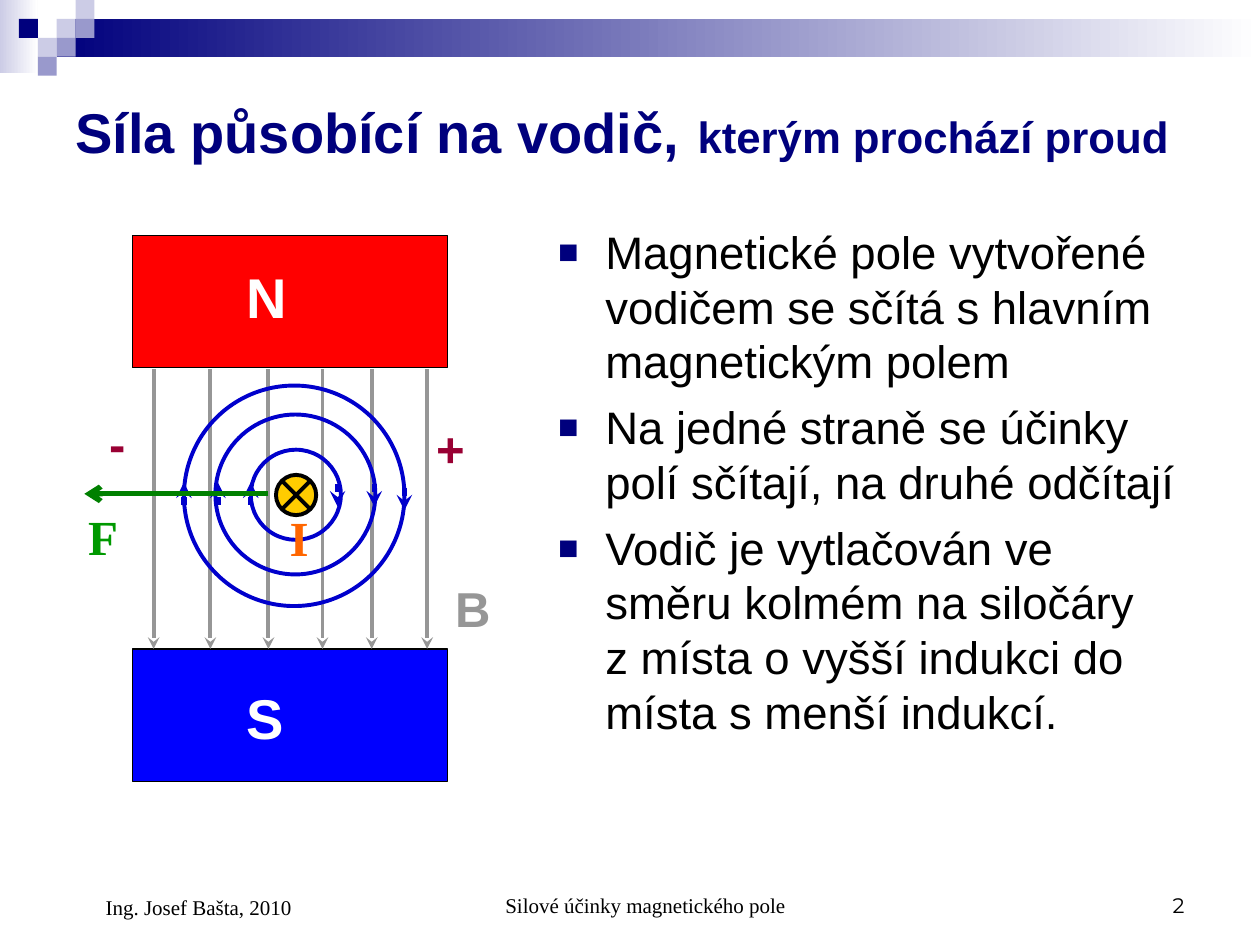
from lxml import etree
from pptx import Presentation
from pptx.dml.color import RGBColor
from pptx.enum.shapes import MSO_CONNECTOR, MSO_SHAPE
from pptx.enum.text import MSO_ANCHOR, PP_ALIGN
from pptx.oxml.ns import qn
from pptx.util import Pt

RECT, OVAL = MSO_SHAPE.RECTANGLE, MSO_SHAPE.OVAL
LINE = MSO_CONNECTOR.STRAIGHT
LEFT, MID, RIGHT = PP_ALIGN.LEFT, PP_ALIGN.CENTER, PP_ALIGN.RIGHT
TOP, CENTER, BASE = MSO_ANCHOR.TOP, MSO_ANCHOR.MIDDLE, MSO_ANCHOR.BOTTOM

NAVY = RGBColor(0x00, 0x00, 0x7D)
PALE = RGBColor(0xCC, 0xCC, 0xE6)
MAUVE = RGBColor(0x99, 0x99, 0xCC)
WHITE = RGBColor(0xFF, 0xFF, 0xFF)
BLACK = RGBColor(0x00, 0x00, 0x00)
RED = RGBColor(0xFF, 0x00, 0x00)
BLUE = RGBColor(0x00, 0x00, 0xFF)
RING = RGBColor(0x00, 0x00, 0xCC)
GRAY = RGBColor(0x96, 0x96, 0x96)
WINE = RGBColor(0x99, 0x00, 0x33)
GOLD = RGBColor(0xFF, 0xCC, 0x00)
ORANGE = RGBColor(0xFF, 0x66, 0x00)
GREEN = RGBColor(0x00, 0x80, 0x00)
LEAF = RGBColor(0x00, 0x99, 0x00)

SANS, SERIF = "Arial", "Times New Roman"

POINTS = [
    "Magnetické pole vytvořené vodičem se sčítá s hlavním magnetickým polem",
    "Na jedné straně se účinky polí sčítají, na druhé odčítají",
    "Vodič je vytlačován ve směru kolmém na siločáry \n"
    "z místa o vyšší indukci do místa s menší indukcí.",
]


def add_run(para, text, size=28, color=BLACK, face=SANS, bold=False):
    run = para.add_run()
    run.text = text
    font = run.font
    font.name, font.size, font.bold = face, Pt(size), bold
    font.color.rgb = color


def add_text(slide, text, x, y, w, h, align=LEFT, anchor=TOP, indent=0, **style):
    frame = slide.shapes.add_textbox(Pt(x), Pt(y), Pt(w), Pt(h)).text_frame
    frame.word_wrap = True
    frame.vertical_anchor = anchor
    para = frame.paragraphs[0]
    para.alignment = align
    if indent:
        para._p.get_or_add_pPr().set("marL", str(Pt(indent)))
    add_run(para, text, **style)


def add_mark(slide, text, x, y, **style):
    add_text(slide, text, x, y, 48, 41, bold=True, **style)


def add_part(slide, kind, x, y, w, h, fill=None, line=None, width=2.25):
    part = slide.shapes.add_shape(kind, Pt(x), Pt(y), Pt(w), Pt(h))
    part.shadow.inherit = False
    if fill is None:
        part.fill.background()
    else:
        part.fill.solid()
        part.fill.fore_color.rgb = fill
    if line is None:
        part.line.fill.background()
    else:
        part.line.color.rgb = line
        part.line.width = Pt(width)
    return part


def add_line(slide, x1, y1, x2, y2, color, width=2.25, tip=None):
    line = slide.shapes.add_connector(LINE, Pt(x1), Pt(y1), Pt(x2), Pt(y2))
    line.line.color.rgb = color
    line.line.width = Pt(width)
    if tip:
        etree.SubElement(line.line._get_or_add_ln(), qn("a:tailEnd"), type=tip)
    etree.SubElement(line._element.spPr, qn("a:effectLst"))


def add_fade(slide, x, y, w, h, color):
    fill = add_part(slide, RECT, x, y, w, h, WHITE).fill
    fill.gradient()
    fill.gradient_angle = 0
    for stop, tone in zip(fill.gradient_stops, (color, WHITE)):
        stop.color.rgb = tone


def add_header(slide, x, y, w, unit):
    add_fade(slide, x, y, 2 * unit, 42, PALE)
    add_fade(slide, x + 3 * unit, y + unit, w - 3 * unit, 2 * unit, NAVY)
    tiles = [(3, 1, PALE), (4, 0, PALE), (4, 1, MAUVE), (2, 2, PALE),
             (1, 1, NAVY), (3, 2, MAUVE), (2, 3, MAUVE)]
    for col, row, color in tiles:
        add_part(slide, RECT, x + col * unit, y + row * unit, unit, unit, color)


def add_title(slide, x, y, w, h):
    title = slide.shapes.title
    title.left, title.top, title.width, title.height = Pt(x), Pt(y), Pt(w), Pt(h)
    frame = title.text_frame
    frame.vertical_anchor = CENTER
    para = frame.paragraphs[0]
    para.alignment = LEFT
    for text, size in [("Síla působící na vodič,", 32), (" ", 36),
                       ("kterým prochází proud", 25)]:
        add_run(para, text, size=size, color=NAVY, bold=True)


def add_bullet(para):
    props = para._p.get_or_add_pPr()
    props.set("marL", str(Pt(27)))
    props.set("indent", str(-Pt(27)))
    tint = etree.SubElement(props, qn("a:buClr"))
    etree.SubElement(tint, qn("a:srgbClr"), val=str(NAVY))
    etree.SubElement(props, qn("a:buSzPct"), val="75000")
    etree.SubElement(props, qn("a:buFont"), typeface=SANS)
    etree.SubElement(props, qn("a:buChar"), char="■")


def add_points(slide, x, y, w, h):
    frame = slide.shapes.add_textbox(Pt(x), Pt(y), Pt(w), Pt(h)).text_frame
    frame.word_wrap = True
    for i, text in enumerate(POINTS):
        para = frame.add_paragraph() if i else frame.paragraphs[0]
        add_bullet(para)
        if i:
            para.space_before = Pt(6.5)
        for j, row in enumerate(text.split("\n")):
            if j:
                para.add_line_break()
            add_run(para, row, size=26)


def add_magnet(slide, x, y, w, h):
    pole = 75.6
    for name, top, color, drop in [("N", y, RED, 11.6), ("S", y + h - pole, BLUE, 16)]:
        add_part(slide, RECT, x, top, w, pole, color, BLACK, 0.75)
        add_mark(slide, name, x + 58.3, top + drop, size=32, color=WHITE)


def add_field(slide, x, y, h):
    for dx in (12.2, 44.6, 77.8, 108.7, 136.8, 168.5):
        add_line(slide, x + dx, y, x + dx, y + h, GRAY, tip="stealth")
    add_mark(slide, "B", x + 177.8, y + 116, color=GRAY)


def add_rings(slide, x, y):
    # Inset, drop, size, then the tips on the left and right side
    rings = [(38.2, 36.7, 51.5, 38.2, 87.8, 56.2),
             (18, 16.6, 91.4, 19.4, 108.8, 56.2),
             (0, 0, 126, 0, 126, 58.4)]
    for dx, dy, size, up, down, start in rings:
        add_part(slide, OVAL, x + dx, y + dy, size, size, line=RING)
        add_line(slide, x + up, y + 68.4, x + up, y + 55.4, RING, 3, "stealth")
        add_line(slide, x + down, y + start, x + down, y + start + 13, RING, 3, "stealth")


def add_wire(slide, x, y, size):
    add_part(slide, OVAL, x, y, size, size, GOLD, BLACK)
    near, far = 3.2, size - 3.2
    for y1, y2 in [(near, far), (far, near)]:
        add_line(slide, x + near, y + y1, x + far, y + y2, BLACK)
    add_mark(slide, "I", x + 0.7, y + 15.2, color=ORANGE, face=SERIF)


def add_force(slide, x, y, w):
    add_line(slide, x + w, y, x, y, GREEN, 3, "arrow")
    add_mark(slide, "F", x - 5, y + 3.6, color=LEAF, face=SERIF)


def add_footer(slide, x, y, w, h):
    add_text(slide, "Silové účinky magnetického pole", x + 210.2, y, 228.2, h,
             align=MID, anchor=BASE, indent=17.3, size=12, face=SERIF)
    add_text(slide, "2", x + w - 168, y, 168, h,
             align=RIGHT, anchor=BASE, size=12, face="Montserrat")
    add_text(slide, "Ing. Josef Bašta, 2010", x, y, 168, h + 1.4,
             anchor=BASE, indent=17.3, size=12, face=SERIF)


def main():
    deck = Presentation()
    deck.slide_width, deck.slide_height = Pt(720), Pt(540)
    slide = deck.slides.add_slide(deck.slide_layouts[5])
    add_header(slide, 0, 0, 720, 10.8)
    add_title(slide, 36, 36, 648, 74.2)
    add_points(slide, 311.8, 124.6, 371.5, 351.4)
    # Diagram of the wire between the poles
    add_magnet(slide, 75.6, 134.6, 180, 311.8)
    add_field(slide, 75.6, 211, 159.8)
    add_rings(slide, 105.1, 220.3)
    add_mark(slide, "+", 242.6, 235.4, color=WINE)
    add_mark(slide, "-", 55.4, 232.6, color=WINE)
    add_wire(slide, 157.7, 271.4, 23)
    add_force(slide, 48.2, 282.2, 105.2)
    add_footer(slide, 36, 491.8, 648, 36)
    deck.save("out.pptx")


if __name__ == "__main__":
    main()
